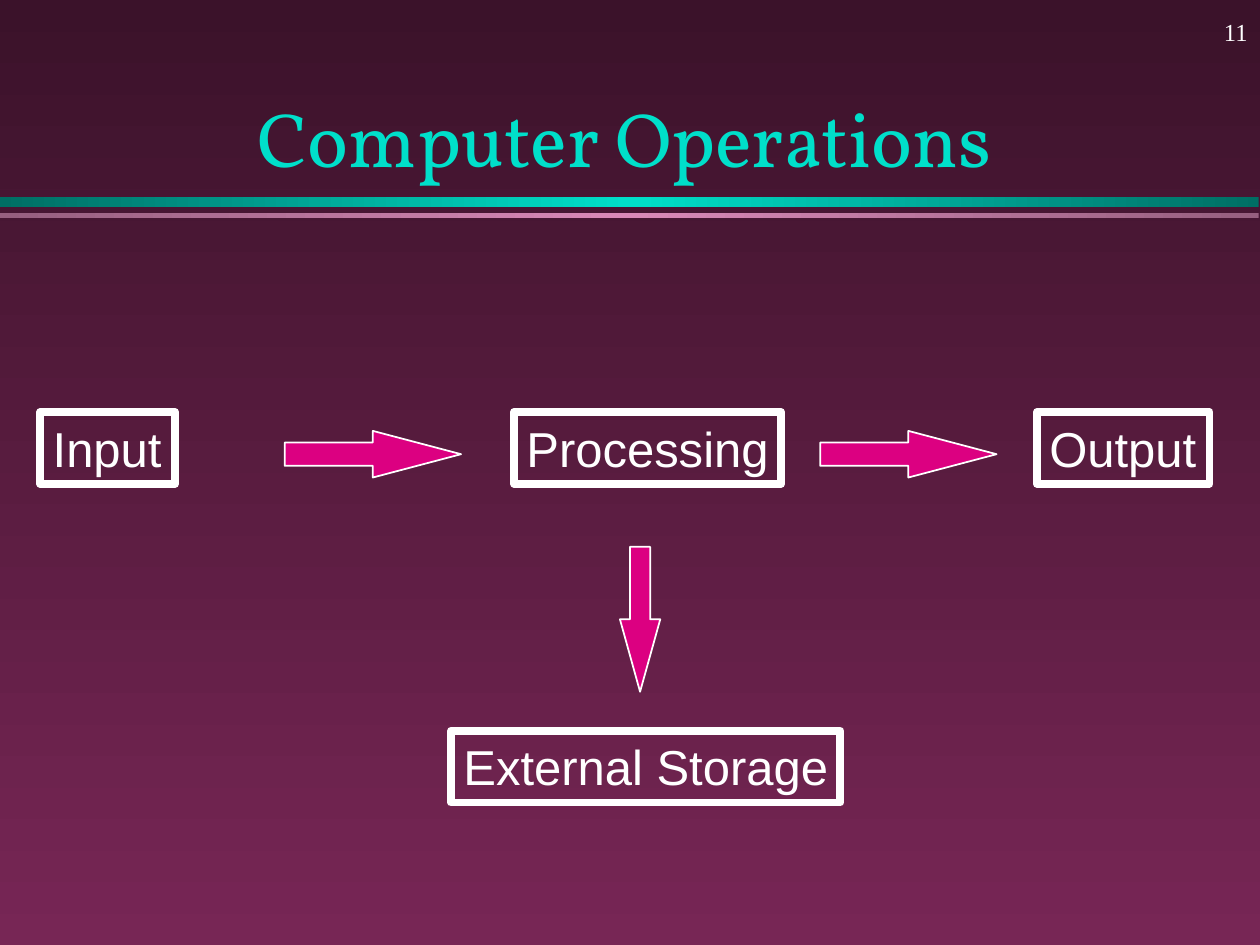
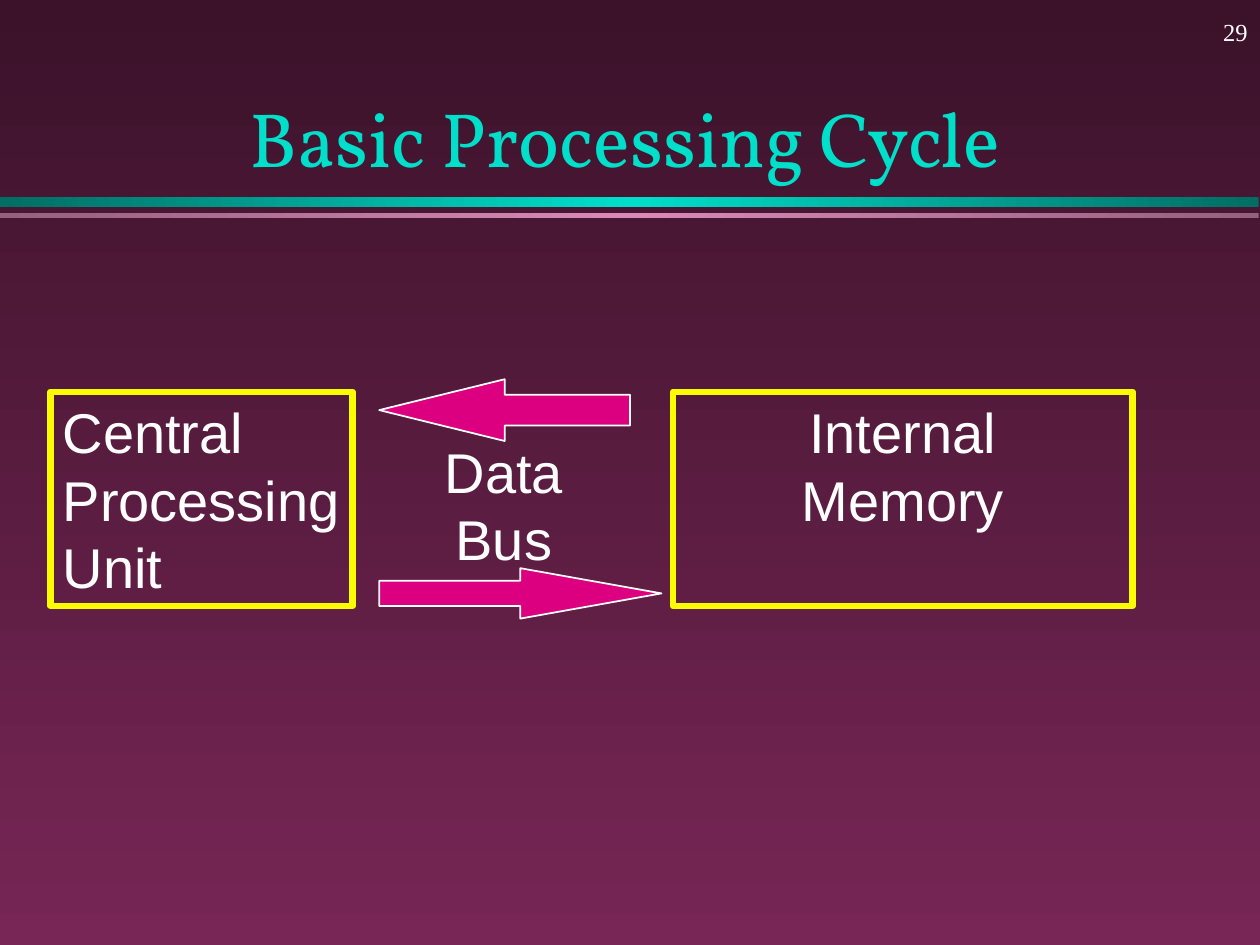
from copy import deepcopy

from pptx import Presentation
from pptx.dml.color import RGBColor
from pptx.enum.shapes import MSO_SHAPE
from pptx.enum.text import MSO_ANCHOR, MSO_AUTO_SIZE, PP_ALIGN
from pptx.oxml.ns import qn
from pptx.util import Inches, Pt

RECTANGLE = MSO_SHAPE.RECTANGLE
RIGHT_ARROW = MSO_SHAPE.RIGHT_ARROW
LEFT_ARROW = MSO_SHAPE.LEFT_ARROW
DOWN_ARROW = MSO_SHAPE.DOWN_ARROW
LEFT, CENTER, RIGHT = PP_ALIGN.LEFT, PP_ALIGN.CENTER, PP_ALIGN.RIGHT
TOP, MIDDLE, BOTTOM = MSO_ANCHOR.TOP, MSO_ANCHOR.MIDDLE, MSO_ANCHOR.BOTTOM
FIXED_SIZE = MSO_AUTO_SIZE.NONE
TITLE_ONLY = 5

WHITE, YELLOW, MAGENTA, TURQUOISE = "FFFFFF", "FAFD00", "DC0081", "00DFCA"
BACKGROUND = ("3B122A", "772655")
BANDS = (
    (1.56, 0.08, ("006E64", TURQUOISE, "006E64")),
    (1.69, 0.04, ("965F7F", "D989B8", "965F7F")),
)
TITLE_FONT = {"name": "Vollkorn", "size": Pt(44)}
NUMBER_FONT = {"name": "Times New Roman", "size": Pt(14)}
STEP_FONT = {"name": "Arial", "size": Pt(28)}
UNIT_FONT = {"name": "Arial", "size": Pt(32)}


def rgb(value):
    """Turn a hex string into a colour."""
    return RGBColor.from_string(value)


def inches(*lengths):
    """Turn numbers into lengths in inches."""
    return [Inches(length) for length in lengths]


def set_gradient(fill, element, colours, angle):
    """Fill with evenly spaced gradient colours."""
    fill.gradient()
    fill.gradient_angle = angle
    stop_list = next(element.iter(qn("a:gsLst")))
    while len(stop_list) < len(colours):
        stop_list.append(deepcopy(stop_list[0]))
    for index, (stop, colour) in enumerate(zip(fill.gradient_stops, colours)):
        stop.position = index / (len(colours) - 1)
        stop.color.rgb = rgb(colour)


def write_text(frame, lines, font, colour=WHITE, align=LEFT, anchor=TOP, wrap=True):
    """Write one paragraph per line with a shared format."""
    frame.auto_size = FIXED_SIZE
    frame.word_wrap = wrap
    frame.vertical_anchor = anchor
    for index, line in enumerate(lines):
        para = frame.add_paragraph() if index else frame.paragraphs[0]
        para.alignment = align
        span = para.add_run()
        span.text = line
        for name, value in font.items():
            setattr(span.font, name, value)
        span.font.color.rgb = rgb(colour)


def add_text(page, area, text, font, **layout):
    """Add a plain text box."""
    box = page.shapes.add_textbox(*inches(*area))
    write_text(box.text_frame, [text], font, **layout)


def add_plain_shape(page, kind, area):
    """Add a preset shape without a shadow."""
    shape = page.shapes.add_shape(kind, *inches(*area))
    shape.shadow.inherit = False
    return shape


def set_line(shape, colour, width):
    """Give a shape its outline."""
    shape.line.color.rgb = rgb(colour)
    shape.line.width = Pt(width)


def add_frame(page, area, lines, font, colour, width, align=LEFT):
    """Add an unfilled outlined box with text."""
    box = add_plain_shape(page, RECTANGLE, area)
    box.fill.background()
    set_line(box, colour, width)
    write_text(box.text_frame, lines, font, align=align, wrap=False)


def add_arrow(page, kind, area):
    """Add a block arrow whose head takes half its length."""
    arrow = add_plain_shape(page, kind, area)
    arrow.fill.solid()
    arrow.fill.fore_color.rgb = rgb(MAGENTA)
    set_line(arrow, WHITE, 1)
    width, height = area[2:]
    arrow.adjustments[0] = 0.5
    arrow.adjustments[1] = max(width, height) / min(width, height) / 2


def add_page(deck, title, number):
    """Add a slide with its bands, title and page number."""
    page = deck.slides.add_slide(deck.slide_layouts[TITLE_ONLY])
    for top, height, colours in BANDS:
        band = add_plain_shape(page, RECTANGLE, (0, top, 9.99, height))
        set_gradient(band.fill, band._element, colours, 0)
        band.line.fill.background()
    heading = page.shapes.title
    heading.left, heading.top, heading.width, heading.height = inches(0.67, 0.25, 8.58, 1.25)
    write_text(heading.text_frame, [title], TITLE_FONT, TURQUOISE, CENTER, BOTTOM)
    add_text(page, (7.92, 0, 2.08, 0.5), number, NUMBER_FONT, align=RIGHT, anchor=MIDDLE)
    return page


def add_operations(deck):
    """Build the slide on computer operations."""
    page = add_page(deck, "Computer Operations", "11")
    steps = (
        ("Input", 0.32, 3.27, 1.07),
        ("Processing", 4.08, 3.27, 2.12),
        ("Output", 8.23, 3.27, 1.37),
        ("External Storage", 3.58, 5.8, 3.09),
    )
    for text, left, top, width in steps:
        add_frame(page, (left, top, width, 0.57), [text], STEP_FONT, WHITE, 4.5)
    for left in (2.26, 6.51):
        add_arrow(page, RIGHT_ARROW, (left, 3.42, 1.4, 0.37))
    add_arrow(page, DOWN_ARROW, (4.92, 4.34, 0.32, 1.15))


def add_cycle(deck):
    """Build the slide on the processing cycle."""
    page = add_page(deck, "Basic Processing Cycle", "29")
    units = (
        (("Central", "Processing", "Unit"), 0.4, 2.4, LEFT),
        (("Internal", "Memory"), 5.34, 3.65, CENTER),
    )
    for lines, left, width, align in units:
        add_frame(page, (left, 3.11, width, 1.7), lines, UNIT_FONT, YELLOW, 3.75, align)
    add_arrow(page, LEFT_ARROW, (3.01, 3.01, 1.99, 0.49))
    add_arrow(page, RIGHT_ARROW, (3.01, 4.51, 2.24, 0.4))
    add_text(page, (3, 3.42, 2, 1.17), "Data Bus", UNIT_FONT, align=CENTER)


def main():
    """Build and save the deck."""
    deck = Presentation()
    deck.slide_width, deck.slide_height = inches(10, 7.5)
    layout = deck.slide_layouts[TITLE_ONLY]
    set_gradient(layout.background.fill, layout._element, BACKGROUND, 270)
    add_operations(deck)
    add_cycle(deck)
    deck.save("out.pptx")


if __name__ == "__main__":
    main()
